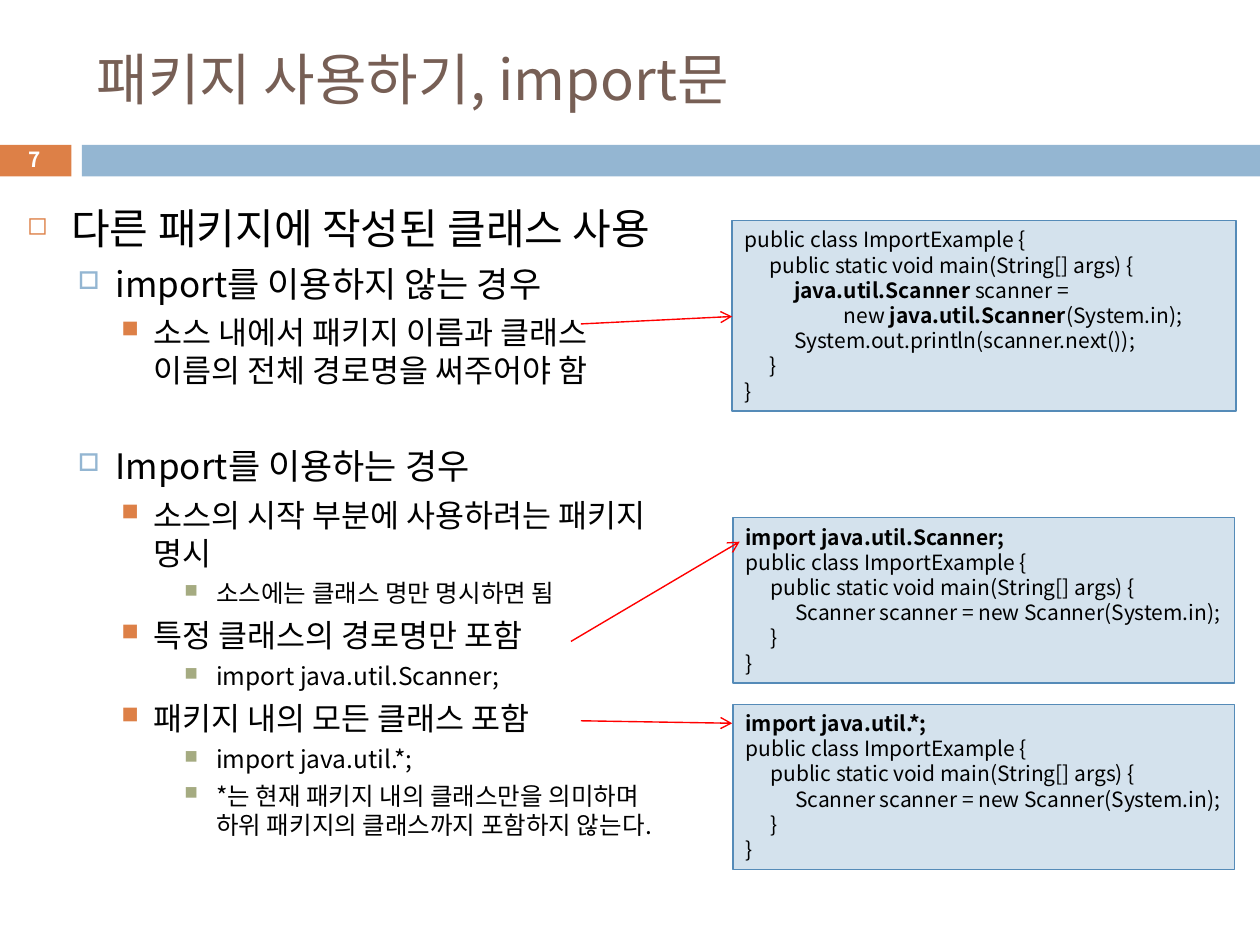
from dataclasses import dataclass

from lxml.etree import SubElement
from pptx import Presentation
from pptx.dml.color import RGBColor as Color
from pptx.enum.shapes import MSO_CONNECTOR as Connector, MSO_SHAPE as Preset
from pptx.enum.text import MSO_ANCHOR as Anchor, PP_ALIGN as Align
from pptx.oxml.ns import qn
from pptx.util import Cm, Pt


@dataclass(frozen=True)
class Level:
    """Format of one outline level, with lengths in centimetres."""
    size: float
    before: float
    left: float
    hanging: float
    bullet: str
    color: str
    percent: int
    font: str = "Noto Sans CJK KR"


@dataclass(frozen=True)
class Theme:
    """Fonts, colours and type sizes of the slide."""
    font: str = "Noto Sans CJK KR"
    text: str = "000000"
    title: str = "775F55"
    white: str = "FFFFFF"
    orange: str = "DD8047"
    blue: str = "94B6D2"
    code_fill: str = "D4E2ED"
    code_line: str = "558BB8"
    arrow: str = "FF0000"
    title_size: float = 32
    code_size: float = 12
    number_size: float = 11.9
    section_gap: float = 32


THEME = Theme()
LEVELS = (
    Level(24, 7, 0.89, 0.89, "◻", THEME.orange, 60),
    Level(20, 5.5, 1.78, 0.76, "□", THEME.blue, 70),
    Level(18, 5, 2.54, 0.64, "■", THEME.orange, 75, "Arial"),
    Level(14, 4, 3.81, 0.64, "■", "A5AB81", 75),
)
OUTLINE = (
    (0, "다른 패키지에 작성된 클래스 사용"),
    (1, "import를 이용하지 않는 경우"),
    (2, "소스 내에서 패키지 이름과 클래스 이름의 전체 경로명을 써주어야 함"),
    (1, "Import를 이용하는 경우"),
    (2, "소스의 시작 부분에 사용하려는 패키지 명시"),
    (3, "소스에는 클래스 명만 명시하면 됨"),
    (2, "특정 클래스의 경로명만 포함"),
    (3, "import java.util.Scanner;"),
    (2, "패키지 내의 모든 클래스 포함"),
    (3, "import java.util.*;"),
    (3, "*는 현재 패키지 내의 클래스만을 의미하며 하위 패키지의 클래스까지 포함하지 않는다."),
)
OPENING = ("public class ImportExample {", "\tpublic static void main(String[] args) {")
CLOSING = ("\t}", "}")
FULL_NAME = (
    *OPENING,
    "\t\t|java.util.Scanner| scanner =",
    "\t\t\t\tnew |java.util.Scanner|(System.in);",
    "\t\tSystem.out.println(scanner.next());",
    *CLOSING,
)
SHORT_NAME = (*OPENING, "\t\tScanner scanner = new Scanner(System.in);", *CLOSING)
CODE_BOXES = (
    ((14.76, 4.45, 10.16, 3.84), FULL_NAME),
    ((14.78, 10.44, 10.11, 3.33), ("|import java.util.Scanner;|", *SHORT_NAME)),
    ((14.78, 14.2, 10.11, 3.33), ("|import java.util.*;|", *SHORT_NAME)),
)
ARROWS = (
    ((11.71, 6.53), (14.76, 6.38)),
    ((11.51, 12.93), (14.91, 10.92)),
    ((11.71, 14.53), (14.76, 14.58)),
)


def write(para, text, *, size, color=THEME.text, font=THEME.font, bold=False, align=Align.LEFT):
    """Add text to a paragraph, with bold switched at each vertical bar."""
    para.alignment = align
    for index, part in enumerate(text.split("|")):
        if part:
            span = para.add_run()
            span.text = part
            span.font.size = Pt(size)
            span.font.name = font
            span.font.bold = bold or index % 2 == 1
            span.font.color.rgb = Color.from_string(color)
            SubElement(span.font._element, qn("a:ea"), typeface=THEME.font)


def add_paragraphs(frame, count):
    """Return the first paragraph of a frame followed by new ones."""
    return [frame.paragraphs[0], *(frame.add_paragraph() for _ in range(count - 1))]


def add_text_box(page, area, anchor=Anchor.TOP):
    """Add a wrapping text box and return its frame."""
    frame = page.shapes.add_textbox(*map(Cm, area)).text_frame
    frame.word_wrap = True
    frame.vertical_anchor = anchor
    return frame


def add_rectangle(page, area, fill, line=None):
    """Add a flat rectangle with an optional outline."""
    box = page.shapes.add_shape(Preset.RECTANGLE, *map(Cm, area))
    box.shadow.inherit = False
    box.fill.solid()
    box.fill.fore_color.rgb = Color.from_string(fill)
    if line:
        box.line.color.rgb = Color.from_string(line)
        box.line.width = Pt(0.75)
    else:
        box.line.fill.background()
    return box


def set_bullet(para, level):
    """Give a paragraph the indent and bullet of its level."""
    props = para._p.get_or_add_pPr()
    props.set("marL", str(Cm(level.left)))
    props.set("indent", str(-Cm(level.hanging)))
    SubElement(SubElement(props, qn("a:buClr")), qn("a:srgbClr"), val=level.color)
    SubElement(props, qn("a:buSzPct"), val=str(level.percent * 1000))
    SubElement(props, qn("a:buChar"), char=level.bullet)


def add_outline(page, area, items):
    """Add the bulleted outline, with a wider gap before its second section."""
    frame = add_text_box(page, area)
    previous = None
    for para, (depth, text) in zip(add_paragraphs(frame, len(items)), items):
        level = LEVELS[depth]
        para.level = depth
        set_bullet(para, level)
        if previous is not None:
            new_section = depth == 1 and previous > depth
            para.space_before = Pt(THEME.section_gap if new_section else level.before)
        write(para, text, size=level.size, font=level.font)
        previous = depth


def add_code(page, area, lines):
    """Add a code panel with evenly spaced tab stops."""
    frame = add_rectangle(page, area, THEME.code_fill, THEME.code_line).text_frame
    frame.word_wrap = True
    frame.vertical_anchor = Anchor.TOP
    for para, line in zip(add_paragraphs(frame, len(lines)), lines):
        stops = SubElement(para._p.get_or_add_pPr(), qn("a:tabLst"))
        for step in range(1, 5):
            SubElement(stops, qn("a:tab"), pos=str(Cm(0.5 * step)), algn="l")
        write(para, line, size=THEME.code_size)


def add_arrow(page, start, end):
    """Add a thin straight arrow."""
    arrow = page.shapes.add_connector(Connector.STRAIGHT, *map(Cm, (*start, *end)))
    arrow.line.color.rgb = Color.from_string(THEME.arrow)
    arrow.line.width = Pt(0.79)
    SubElement(arrow.line._get_or_add_ln(), qn("a:tailEnd"), type="arrow")
    SubElement(arrow._element.spPr, qn("a:effectLst"))


def main():
    """Build and save the slide."""
    deck = Presentation()
    deck.slide_width, deck.slide_height = Cm(25.4), Cm(19.05)
    page = deck.slides.add_slide(deck.slide_layouts[6])
    add_rectangle(page, (-0.03, 2.92, 1.47, 0.64), THEME.orange)
    add_rectangle(page, (1.65, 2.92, 23.75, 0.64), THEME.blue)
    title = add_text_box(page, (1.7, 0.64, 22.66, 1.88), Anchor.MIDDLE)
    write(title.paragraphs[0], "패키지 사용하기, import문", size=THEME.title_size, color=THEME.title)
    add_outline(page, (0.3, 3.96, 13.56, 13), OUTLINE)
    for area, lines in CODE_BOXES:
        add_code(page, area, lines)
    number = add_text_box(page, (-0.03, 2.87, 1.47, 0.69), Anchor.MIDDLE)
    write(number.paragraphs[0], "7", size=THEME.number_size, color=THEME.white, bold=True, align=Align.CENTER)
    for start, end in ARROWS:
        add_arrow(page, start, end)
    deck.save("out.pptx")


if __name__ == "__main__":
    main()
